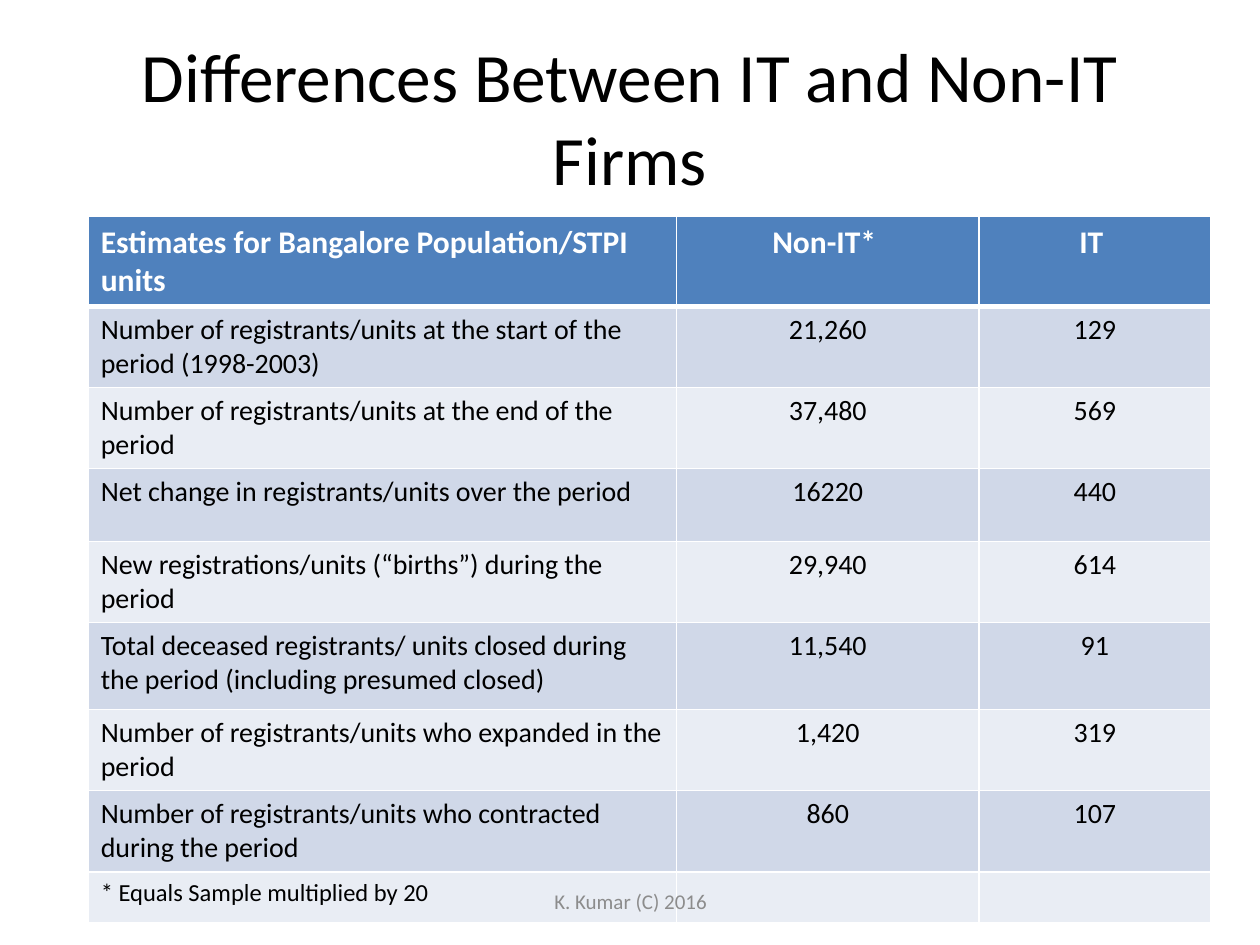
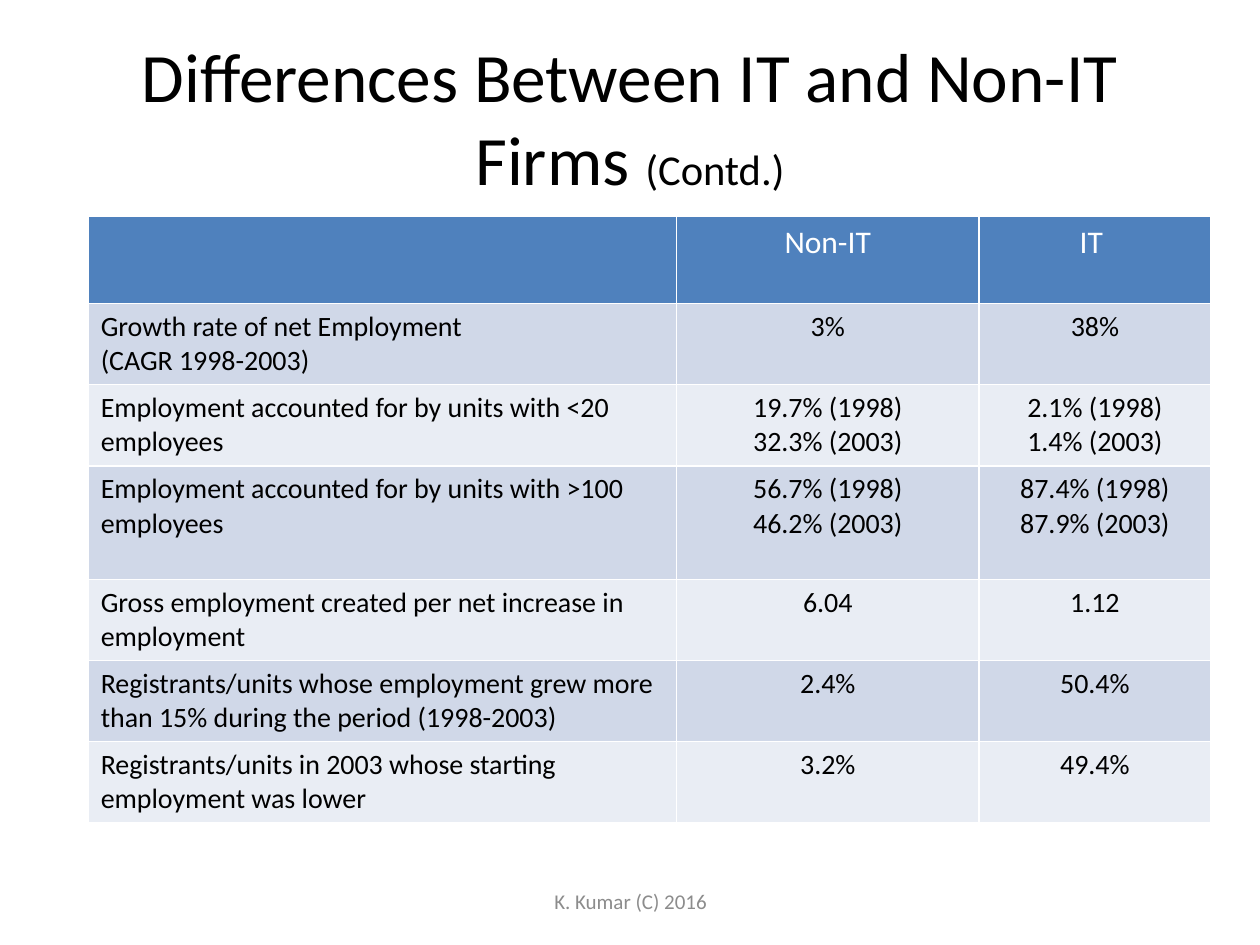
from lxml import etree
from pptx import Presentation
from pptx.dml.color import RGBColor
from pptx.enum import text
from pptx.oxml import ns
from pptx.util import Inches, Pt

FONT = "Calibri"
BLACK = RGBColor(0x00, 0x00, 0x00)
WHITE = RGBColor(0xFF, 0xFF, 0xFF)
GREY = RGBColor(0x8C, 0x8C, 0x8C)
HEADER = RGBColor(0x4F, 0x81, 0xBD)
BANDS = (RGBColor(0xE9, 0xED, 0xF4), RGBColor(0xD0, 0xD8, 0xE8))

TITLE_BOX = (0.5, 0.3, 9, 1.25)
TABLE_BOX = (0.7, 1.72, 8.91)
FOOTER_BOX = (3.42, 6.95, 3.17, 0.4)
COLUMN_SHARES = (4.67, 2.4, 1.84)

TITLE = "Differences Between IT and Non-IT Firms"
FOOTER = "K. Kumar (C) 2016"

FIRM_ROWS = [
    (0.7, "Estimates for Bangalore Population/STPI units", "Non-IT* ", "IT "),
    (0.63, "Number of registrants/units at the start of the period (1998-2003)", "21,260", "129"),
    (0.63, "Number of registrants/units at the end of the period", "37,480", "569"),
    (0.58, "Net change in registrants/units over the period", "16220", "440"),
    (0.63, "New registrations/units (“births”) during the period", "29,940", "614"),
    (0.69, "Total deceased registrants/ units closed during the period (including presumed closed)",
     "11,540", "91"),
    (0.63, "Number of registrants/units who expanded in the period", "1,420", "319"),
    (0.63, "Number of registrants/units who contracted during the period", "860", "107"),
    (0.4, "* Equals Sample multiplied by 20", "", ""),
]
EMPLOYMENT_ROWS = [
    (0.69, "", "Non-IT", "IT "),
    (0.63, "Growth rate of net Employment\n(CAGR 1998-2003)", "3%", "38%"),
    (0.63, "Employment accounted for by units with <20 employees",
     "19.7% (1998)\n32.3% (2003)", "2.1% (1998)\n1.4% (2003)"),
    (0.9, "Employment accounted for by units with >100 employees",
     "56.7% (1998)\n46.2% (2003)", "87.4% (1998)\n87.9% (2003)"),
    (0.63, "Gross employment created per net increase in employment", "6.04", "1.12"),
    (0.63, "Registrants/units whose employment grew more than 15% during the period (1998-2003)",
     "2.4%", "50.4%"),
    (0.63, "Registrants/units in 2003 whose starting employment was lower", "3.2%", "49.4%"),
]


def add_run(p, content, size, color=BLACK, bold=False):
    """Append one formatted run to a paragraph."""
    r = p.add_run()
    r.text = content
    r.font.name = FONT
    r.font.size = Pt(size)
    r.font.bold = bold
    r.font.color.rgb = color


def add_title(s, box, suffix):
    """Fill the title placeholder, with an optional smaller suffix."""
    sp = s.shapes.title
    sp.left, sp.top, sp.width, sp.height = map(Inches, box)
    tf = sp.text_frame
    tf.auto_size = text.MSO_AUTO_SIZE.NONE
    tf.vertical_anchor = text.MSO_ANCHOR.MIDDLE
    p = tf.paragraphs[0]
    p.alignment = text.PP_ALIGN.CENTER
    add_run(p, f"{TITLE} " if suffix else TITLE, 39.6)
    if suffix:
        add_run(p, suffix, 24.3)


def add_footer(s, box):
    """Add the centred footer line."""
    tf = s.shapes.add_textbox(*map(Inches, box)).text_frame
    tf.word_wrap = True
    tf.vertical_anchor = text.MSO_ANCHOR.MIDDLE
    p = tf.paragraphs[0]
    p.alignment = text.PP_ALIGN.CENTER
    add_run(p, FOOTER, 12, GREY)


def set_borders(cell, top, bottom):
    """Draw white borders, with their own weights above and below."""
    tc_pr = cell._tc.get_or_add_tcPr()
    for side, weight in (("L", 1), ("R", 1), ("T", top), ("B", bottom)):
        ln = etree.SubElement(tc_pr, ns.qn(f"a:ln{side}"), w=str(Pt(weight)))
        fill = etree.SubElement(ln, ns.qn("a:solidFill"))
        etree.SubElement(fill, ns.qn("a:srgbClr"), val=str(WHITE))


def fill_cell(cell, content, size, color, bold, align):
    """Write each line of the content as a paragraph."""
    tf = cell.text_frame
    for i, line in enumerate(content.split("\n")):
        p = tf.add_paragraph() if i else tf.paragraphs[0]
        p.alignment = align
        if line:
            add_run(p, line, size, color, bold)


def add_comparison(s, box, rows, bold_header, header_rule):
    """Add a banded table comparing non-IT and IT firms."""
    left, top, width = box
    height = sum(row[0] for row in rows)
    table = s.shapes.add_table(len(rows), len(COLUMN_SHARES), Inches(left), Inches(top),
                               Inches(width), Inches(height)).table
    for column, share in zip(table.columns, COLUMN_SHARES):
        column.width = Inches(width * share / sum(COLUMN_SHARES))
    for i, (row_height, *contents) in enumerate(rows):
        table.rows[i].height = Inches(row_height)
        is_header = i == 0
        size = 18 if is_header else 14 if contents[0].startswith("*") else 16
        for j, content in enumerate(contents):
            cell = table.cell(i, j)
            set_borders(cell, header_rule if i == 1 else 1, header_rule if is_header else 1)
            cell.fill.solid()
            cell.fill.fore_color.rgb = HEADER if is_header else BANDS[i % 2]
            fill_cell(cell, content, size, WHITE if is_header else BLACK,
                      is_header and bold_header,
                      text.PP_ALIGN.CENTER if j else text.PP_ALIGN.LEFT)


def add_comparison_slide(prs, rows, suffix="", bold_header=False, header_rule=1):
    """Add a slide with a title, a comparison table and a footer."""
    s = prs.slides.add_slide(prs.slide_layouts[5])
    add_title(s, TITLE_BOX, suffix)
    add_comparison(s, TABLE_BOX, rows, bold_header, header_rule)
    add_footer(s, FOOTER_BOX)


def main():
    """Build and save the presentation."""
    prs = Presentation()
    prs.slide_width, prs.slide_height = Inches(10), Inches(7.5)
    add_comparison_slide(prs, FIRM_ROWS, bold_header=True, header_rule=3)
    add_comparison_slide(prs, EMPLOYMENT_ROWS, suffix="(Contd.)")
    prs.save("out.pptx")


if __name__ == "__main__":
    main()
